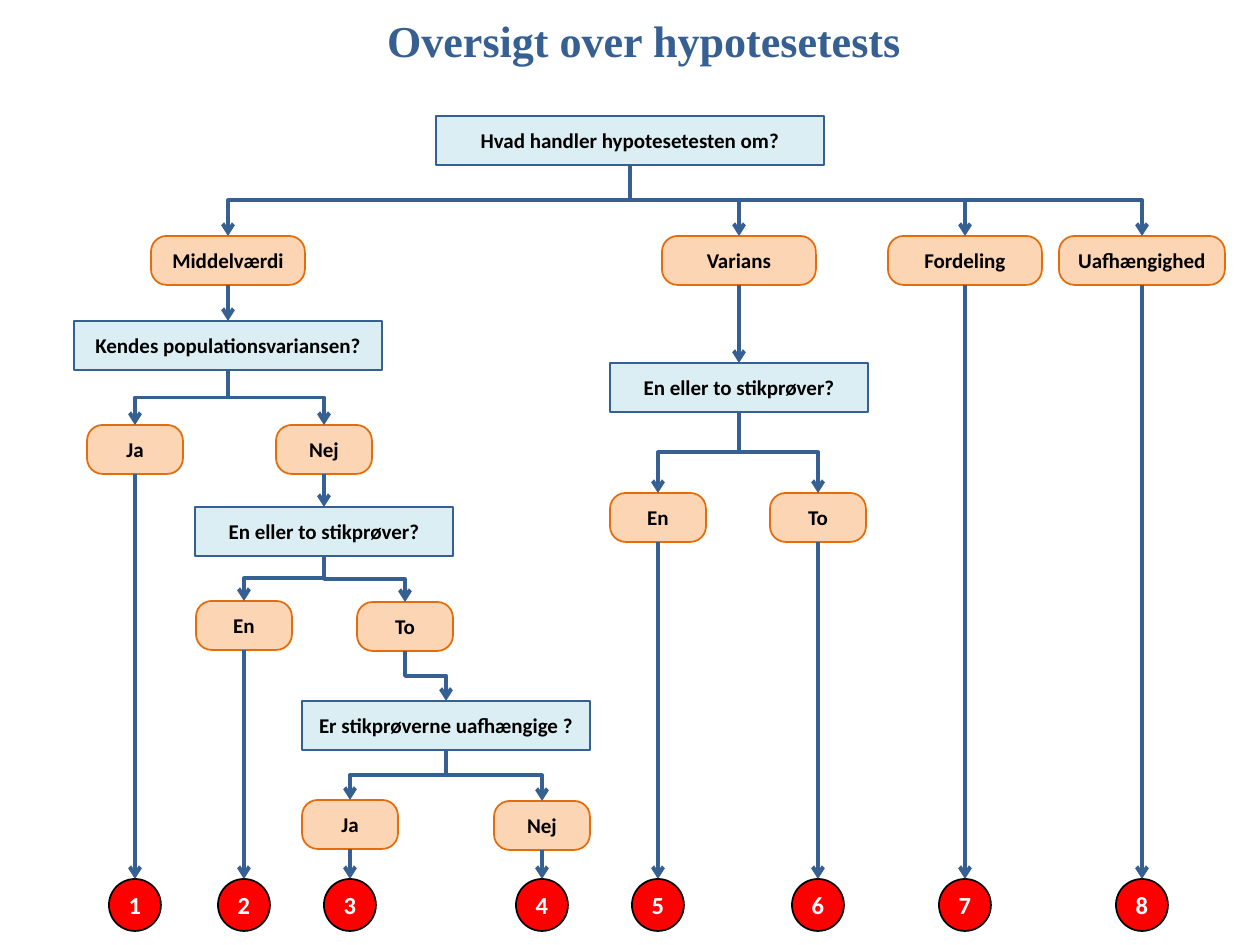
from lxml import etree
from pptx import Presentation
from pptx.dml.color import RGBColor
from pptx.enum.shapes import MSO_CONNECTOR, MSO_SHAPE
from pptx.enum.text import MSO_ANCHOR, PP_ALIGN
from pptx.oxml.ns import qn
from pptx.util import Inches, Pt

RECT = MSO_SHAPE.RECTANGLE
ROUND = MSO_SHAPE.ROUNDED_RECTANGLE
OVAL = MSO_SHAPE.OVAL
ELBOW = MSO_CONNECTOR.ELBOW
STRAIGHT = MSO_CONNECTOR.STRAIGHT
MIDDLE = MSO_ANCHOR.MIDDLE
CENTER = PP_ALIGN.CENTER

BLUE = RGBColor(0x37, 0x60, 0x92)
PALE_BLUE = RGBColor(0xDB, 0xEE, 0xF4)
ORANGE = RGBColor(0xE4, 0x6C, 0x0A)
PEACH = RGBColor(0xFC, 0xD5, 0xB5)
RED = RGBColor(0xFF, 0x00, 0x00)
BLACK = RGBColor(0x00, 0x00, 0x00)
WHITE = RGBColor(0xFF, 0xFF, 0xFF)

PX = Inches(1) / 126
BOX_H = 49
DOT = 52
DOT_TOP = 879
TOP, BOTTOM = 0, 2

STYLES = {
    RECT: (PALE_BLUE, BLUE, BLACK, 12),
    ROUND: (PEACH, ORANGE, BLACK, 12),
    OVAL: (RED, BLACK, WHITE, 14),
}

NODES = [
    ("topic", None, RECT, 630, 116, 388, "Hvad handler hypotesetesten om?"),
    ("mean", "topic", ROUND, 228, 236, 154, "Middelværdi"),
    ("variance", "topic", ROUND, 739, 236, 154, "Varians"),
    ("distribution", "topic", ROUND, 965, 236, 154, "Fordeling"),
    ("independence", "topic", ROUND, 1142, 236, 166, "Uafhængighed"),
    ("known", "mean", RECT, 228, 321, 308, "Kendes populationsvariansen?"),
    ("known yes", "known", ROUND, 135, 425, 96, "Ja"),
    ("known no", "known", ROUND, 324, 425, 96, "Nej"),
    ("mean samples", "known no", RECT, 324, 507, 258, "En eller to stikprøver?"),
    ("mean one", "mean samples", ROUND, 244, 601, 96, "En"),
    ("mean two", "mean samples", ROUND, 405, 602, 96, "To"),
    ("paired", "mean two", RECT, 446, 701, 288, "Er stikprøverne uafhængige ?"),
    ("paired yes", "paired", ROUND, 350, 800, 96, "Ja"),
    ("paired no", "paired", ROUND, 542, 801, 96, "Nej"),
    ("variance samples", "variance", RECT, 739, 363, 258, "En eller to stikprøver?"),
    ("variance one", "variance samples", ROUND, 658, 493, 96, "En"),
    ("variance two", "variance samples", ROUND, 818, 493, 96, "To"),
]
OUTCOMES = ["known yes", "mean one", "paired yes", "paired no",
            "variance one", "variance two", "distribution", "independence"]

centers = {name: cx for name, _, _, cx, _, _, _ in NODES}
for number, parent in enumerate(OUTCOMES, 1):
    NODES.append((number, parent, OVAL, centers[parent], DOT_TOP, DOT, str(number)))


def px(n):
    return round(n * PX)


def format_text(tf, font, size, color):
    tf.vertical_anchor = MIDDLE
    tf.margin_left = tf.margin_right = tf.margin_top = tf.margin_bottom = 0
    p = tf.paragraphs[0]
    p.alignment = CENTER
    r = p.runs[0]
    r.font.name = font
    r.font.size = Pt(size)
    r.font.bold = True
    r.font.color.rgb = color


prs = Presentation()
prs.slide_width = Inches(10)
prs.slide_height = Inches(7.5)
s = prs.slides.add_slide(prs.slide_layouts[5])

title = s.shapes.title
title.left, title.top, title.width, title.height = px(64), px(6), px(1160), px(68)
title.text_frame.text = "Oversigt over hypotesetests"
format_text(title.text_frame, "Times New Roman", 25.2, BLUE)

boxes = {}
for name, parent, kind, cx, top, w, text in NODES:
    fill, line, color, size = STYLES[kind]
    h = DOT if kind == OVAL else BOX_H
    sp = s.shapes.add_shape(kind, px(cx - w // 2), px(top), px(w), px(h))
    sp.shadow.inherit = False
    sp.fill.solid()
    sp.fill.fore_color.rgb = fill
    sp.line.color.rgb = line
    sp.line.width = Pt(1)
    if kind == ROUND:
        sp.adjustments[0] = 0.32
    sp.text_frame.text = text
    format_text(sp.text_frame, "Calibri", size, color)
    boxes[name] = sp

for name, parent, kind, cx, top, w, text in NODES:
    if parent is None:
        continue
    start = boxes[parent]
    x1, y1 = px(centers[parent]), start.top + start.height
    x2, y2 = px(cx), px(top)
    cn = s.shapes.add_connector(STRAIGHT if kind == OVAL else ELBOW, x1, y1, x2, y2)
    cn.begin_connect(start, BOTTOM if kind != OVAL else BOTTOM)
    cn.end_connect(boxes[name], TOP)
    if kind != OVAL:
        across, down = abs(x2 - x1), y2 - y1
        cn.left, cn.top = (x1 + x2 - down) // 2, (y1 + y2 - across) // 2
        cn.width, cn.height = down, across
        xfrm = cn._element.spPr.find(qn("a:xfrm"))
        xfrm.attrib.pop("flipH", None)
        xfrm.set("rot", "16200000" if x2 > x1 else "5400000")
        if x2 > x1:
            xfrm.set("flipH", "1")
    cn.line.color.rgb = BLUE
    cn.line.width = Pt(2.25)
    etree.SubElement(cn.line._get_or_add_ln(), qn("a:tailEnd"), type="arrow")
    etree.SubElement(cn._element.spPr, qn("a:effectLst"))

prs.save("out.pptx")
